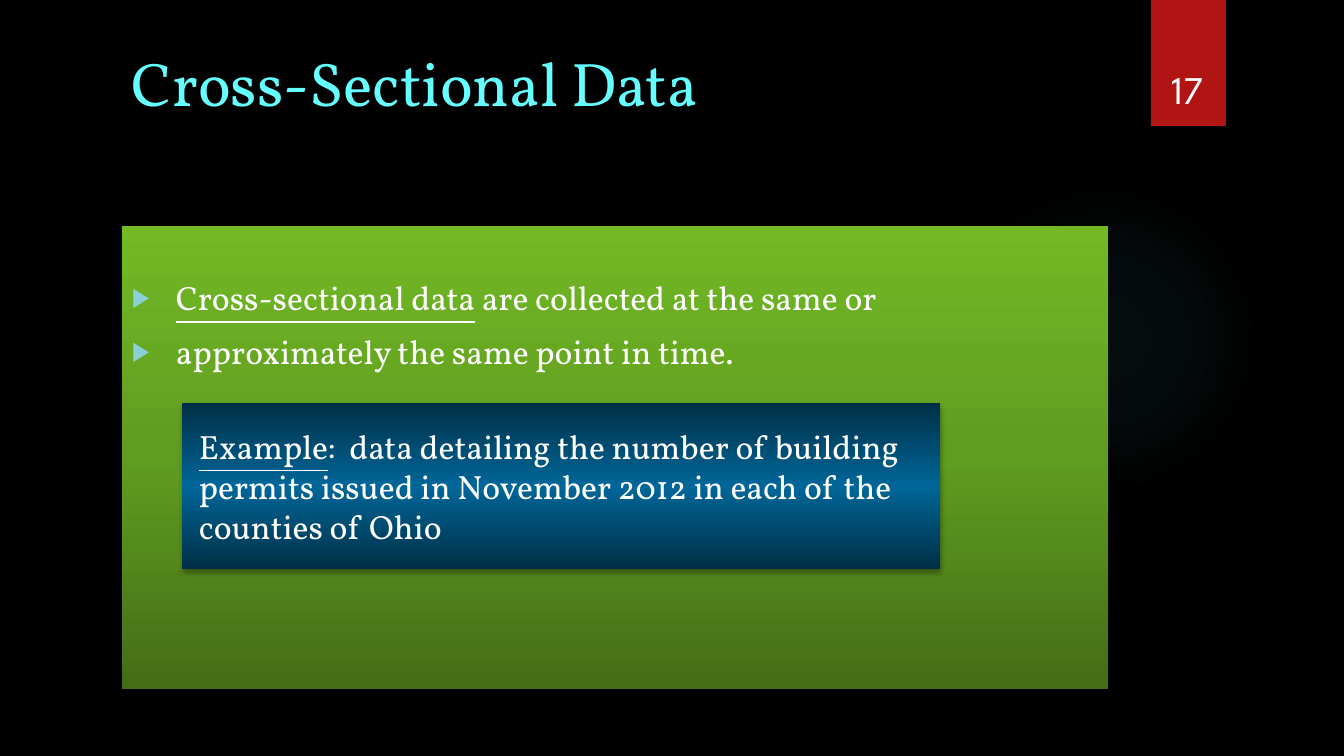
"""Build the Cross-Sectional Data slide."""
from lxml.etree import SubElement
from pptx import Presentation
from pptx.dml.color import RGBColor
from pptx.enum.shapes import MSO_SHAPE as Preset
from pptx.enum.text import MSO_ANCHOR as Anchor, PP_ALIGN as Align
from pptx.oxml import parse_xml
from pptx.oxml.ns import nsdecls, qn
from pptx.util import Emu, Pt

PX = 9071.43
COLORS = {
    "black": "000000", "white": "FFFFFF", "title": "66FFFF", "tab": "B01513",
    "glow": "50B9C1", "bullet": "8AD0D6",
    "moss": "446D16", "leaf": "609C20", "lime": "72B925",
    "navy": "002F46", "ocean": "006699",
}
SERIF = "Vollkorn"


def add_panel(preset, box, stops, direction, shadow=None):
    """Add a borderless shape with (position, colour, alpha) stops."""
    panel = slide.shapes.add_shape(preset, *[Emu(round(v * PX)) for v in box])
    panel.line.fill.background()
    panel.shadow.inherit = False
    panel.fill.solid()
    panel.fill.fore_color.rgb = RGBColor.from_string(COLORS[stops[0][1]])
    props = panel._element.spPr
    if direction:
        marks = "".join(
            f'<a:gs pos="{at * 1000}"><a:srgbClr val="{COLORS[name]}">'
            f'<a:alpha val="{alpha * 1000}"/></a:srgbClr></a:gs>'
            for at, name, alpha in stops)
        props.replace(props.find(qn("a:solidFill")), parse_xml(
            f'<a:gradFill {nsdecls("a")} rotWithShape="1">'
            f'<a:gsLst>{marks}</a:gsLst>{direction}</a:gradFill>'))
    if shadow:
        alpha, blur, distance = shadow
        props.find(qn("a:effectLst")).append(parse_xml(
            f'<a:outerShdw {nsdecls("a")} blurRad="{Pt(blur)}" dist="{Pt(distance)}" '
            f'dir="5400000" rotWithShape="0"><a:srgbClr val="{COLORS["black"]}">'
            f'<a:alpha val="{alpha * 1000}"/></a:srgbClr></a:outerShdw>'))
    return panel


def write(holder, lines, size, face, color, insets, anchor, align=Align.LEFT, bulleted=False):
    """Fill a shape with lines of (text, underlined) runs."""
    frame = holder.text_frame
    frame.word_wrap = True
    frame.vertical_anchor = anchor
    frame.margin_left, frame.margin_top, frame.margin_right, frame.margin_bottom = [
        Emu(round(v * PX)) for v in insets]
    for index, line in enumerate(lines):
        paragraph = frame.add_paragraph() if index else frame.paragraphs[0]
        paragraph.alignment = align
        if bulleted:
            if index:
                paragraph.space_before = Pt(10)
            props = paragraph._p.get_or_add_pPr()
            props.set("marL", str(round(44 * PX)))
            props.set("indent", str(round(-44 * PX)))
            tint = SubElement(props, qn("a:buClr"))
            SubElement(tint, qn("a:srgbClr"), val=COLORS["bullet"])
            SubElement(props, qn("a:buSzPct"), val="80000")
            SubElement(props, qn("a:buFont"), typeface="Arial")
            SubElement(props, qn("a:buChar"), char="▶")
        for text, underlined in line:
            run = paragraph.add_run()
            run.text = text
            run.font.size = Pt(size)
            run.font.name = face
            run.font.underline = underlined
            run.font.color.rgb = RGBColor.from_string(COLORS[color])


deck = Presentation()
deck.slide_width, deck.slide_height = Emu(round(1344 * PX)), Emu(round(756 * PX))
slide = deck.slides.add_slide(deck.slide_layouts[6])
slide.background.fill.solid()
slide.background.fill.fore_color.rgb = RGBColor.from_string(COLORS["black"])

add_panel(Preset.OVAL, (949, 184, 310, 310),
          [(0, "glow", 7), (36, "glow", 6), (69, "glow", 0)],
          '<a:path path="circle"><a:fillToRect l="50000" t="50000" r="50000" b="50000"/></a:path>')
add_panel(Preset.RECTANGLE, (1151, 0, 75, 126), [(0, "tab", 100)], None, (45, 3, 2))

title = slide.shapes.add_textbox(*[Emu(round(v * PX)) for v in (122, 40, 1037, 154)])
write(title, [[("Cross-Sectional Data", False)]], 44, SERIF, "title",
      (10, 5, 10, 5), Anchor.TOP)
page_number = slide.shapes.add_textbox(*[Emu(round(v * PX)) for v in (1142, 32, 92, 85)])
write(page_number, [[("17", False)]], 28, "League Spartan", "white",
      (10, 5, 10, 5), Anchor.BOTTOM, Align.CENTER)

definition = add_panel(Preset.RECTANGLE, (122, 226, 986, 463),
                       [(0, "moss", 100), (50, "leaf", 100), (100, "lime", 100)],
                       '<a:lin ang="16200000" scaled="0"/>', (32, 3.5, 2.2))
write(definition, [
    [("Cross-sectional data", True), (" are collected at the same or", False)],
    [("approximately the same point in time.", False)],
], 24, SERIF, "white", (10, 51, 10, 5), Anchor.TOP, bulleted=True)

example = add_panel(Preset.RECTANGLE, (182, 403, 758, 166),
                    [(0, "navy", 100), (50, "ocean", 100), (100, "navy", 100)],
                    '<a:lin ang="5400000" scaled="0"/>', (32, 3.5, 2.2))
write(example, [
    [("Example", True), (":  data detailing the number of building", False)],
    [("permits issued in November 2012 in each of the", False)],
    [("counties of Ohio", False)],
], 24, SERIF, "white", (17, 5, 10, 5), Anchor.MIDDLE)

deck.save("out.pptx")
